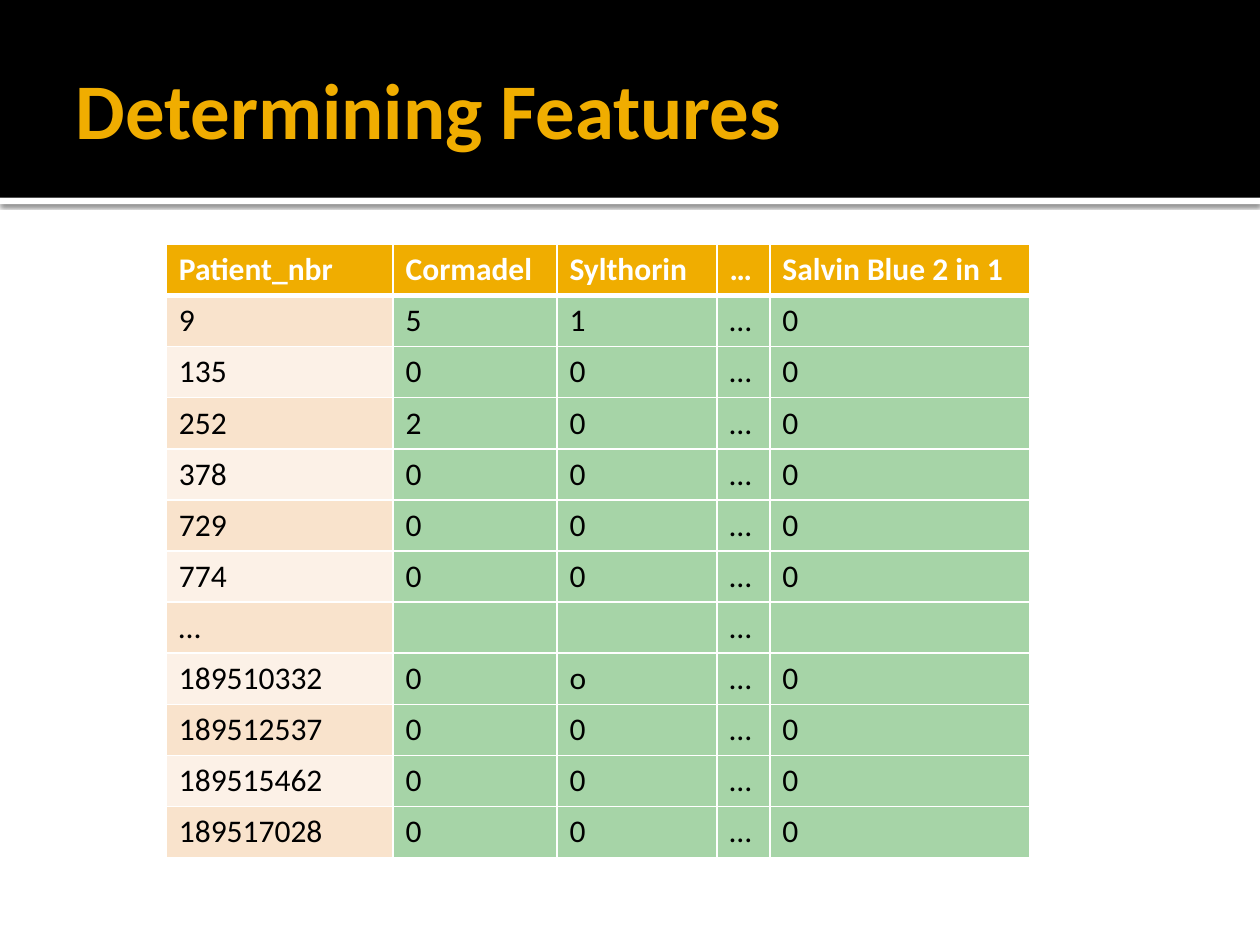
import dataclasses

import lxml.etree
import pptx
import pptx.dml.color
import pptx.enum.shapes
import pptx.enum.text
import pptx.oxml
import pptx.oxml.ns
import pptx.util

Inches = pptx.util.Inches


@dataclasses.dataclass(frozen=True)
class Theme:
    font: str = "Calibri"
    title_size: int = 45
    table_size: int = 18
    accent: str = "F0AD00"
    black: str = "000000"
    white: str = "FFFFFF"
    label_bands: tuple = ("F9E3CC", "FCF1E7")
    counts: str = "A6D4A7"
    thin: int = 1
    thick: int = 3


def rgb(value):
    return pptx.dml.color.RGBColor.from_string(value)


class FeatureSlide:
    def __init__(self, presentation, theme):
        self.theme = theme
        self.slide = presentation.slides.add_slide(presentation.slide_layouts[5])

    def format_text(self, paragraph, size, color, bold):
        values = {"name": self.theme.font, "size": pptx.util.Pt(size), "bold": bold}
        for run in paragraph.runs:
            for name, value in values.items():
                setattr(run.font, name, value)
            run.font.color.rgb = rgb(color)

    def add_band(self, top, height, color, shadow=False):
        shape = self.slide.shapes.add_shape(
            pptx.enum.shapes.MSO_SHAPE.RECTANGLE, 0, Inches(top), Inches(10), Inches(height))
        shape.fill.solid()
        shape.fill.fore_color.rgb = rgb(color)
        shape.line.fill.background()
        shape.shadow.inherit = False
        if shadow:
            effects = shape.element.spPr.find(pptx.oxml.ns.qn("a:effectLst"))
            effects.append(pptx.oxml.parse_xml(
                f'<a:outerShdw {pptx.oxml.ns.nsdecls("a")} blurRad="31750" dist="10160" '
                f'dir="5400000" rotWithShape="0"><a:srgbClr val="{self.theme.black}">'
                '<a:alpha val="60000"/></a:srgbClr></a:outerShdw>'))

    def add_title(self, text):
        title = self.slide.shapes.title
        box = {"left": 0.5, "top": 0.17, "width": 9, "height": 1.37}
        for name, value in box.items():
            setattr(title, name, Inches(value))
        frame = title.text_frame
        frame.text = text
        values = {
            "margin_left": Inches(0.1), "margin_right": Inches(0.05),
            "margin_top": Inches(0.05), "margin_bottom": Inches(0.05),
            "vertical_anchor": pptx.enum.text.MSO_ANCHOR.MIDDLE,
            "auto_size": pptx.enum.text.MSO_AUTO_SIZE.NONE, "word_wrap": True,
        }
        for name, value in values.items():
            setattr(frame, name, value)
        paragraph = frame.paragraphs[0]
        paragraph.alignment = pptx.enum.text.PP_ALIGN.LEFT
        self.format_text(paragraph, self.theme.title_size, self.theme.accent, True)
        # Bring the title in front of the bands
        title.element.getparent().append(title.element)

    def set_borders(self, cell, top, bottom):
        properties = cell._tc.get_or_add_tcPr()
        widths = {"lnL": self.theme.thin, "lnR": self.theme.thin, "lnT": top, "lnB": bottom}
        for tag, width in widths.items():
            line = lxml.etree.SubElement(
                properties, pptx.oxml.ns.qn(f"a:{tag}"), w=str(pptx.util.Pt(width)))
            fill = lxml.etree.SubElement(line, pptx.oxml.ns.qn("a:solidFill"))
            lxml.etree.SubElement(
                fill, pptx.oxml.ns.qn("a:srgbClr"), val=self.theme.white)

    def cell_fill(self, row, column):
        if row == 0:
            return self.theme.accent
        if column == 0:
            return self.theme.label_bands[(row - 1) % 2]
        return self.theme.counts

    def add_table(self, rows, left, top, widths, height):
        theme = self.theme
        table = self.slide.shapes.add_table(
            len(rows), len(widths), Inches(left), Inches(top),
            Inches(sum(widths)), Inches(height)).table
        for column, width in zip(table.columns, widths):
            column.width = Inches(width)
        for row_index, values in enumerate(rows):
            header = row_index == 0
            for column_index, text in enumerate(values):
                cell = table.cell(row_index, column_index)
                cell.text = text
                self.set_borders(cell,
                                 theme.thick if row_index == 1 else theme.thin,
                                 theme.thick if header else theme.thin)
                cell.fill.solid()
                cell.fill.fore_color.rgb = rgb(self.cell_fill(row_index, column_index))
                self.format_text(cell.text_frame.paragraphs[0], theme.table_size,
                                 theme.white if header else theme.black, header)


def main():
    presentation = pptx.Presentation()
    presentation.slide_width = Inches(10)
    presentation.slide_height = Inches(7.5)
    theme = Theme()
    page = FeatureSlide(presentation, theme)

    # Title band with its shadowed rule
    page.add_band(1.57, 0.05, theme.white, shadow=True)
    page.add_band(0, 1.57, theme.black)
    page.add_title("Determining Features")

    # Feature counts for each patient
    rows = [
        ("Patient_nbr", "Cormadel", "Sylthorin", "…", "Salvin Blue 2 in 1"),
        ("9", "5", "1", "…", "0"),
        ("135", "0", "0", "…", "0"),
        ("252", "2", "0", "…", "0"),
        ("378", "0", "0", "…", "0"),
        ("729", "0", "0", "…", "0"),
        ("774", "0", "0", "…", "0"),
        ("…", "", "", "…", ""),
        ("189510332", "0", "o", "…", "0"),
        ("189512537", "0", "0", "…", "0"),
        ("189515462", "0", "0", "…", "0"),
        ("189517028", "0", "0", "…", "0"),
    ]
    page.add_table(rows, 1.32, 1.94, (1.8, 1.3, 1.27, 0.42, 2.06), 4.87)

    presentation.save("out.pptx")


if __name__ == "__main__":
    main()
